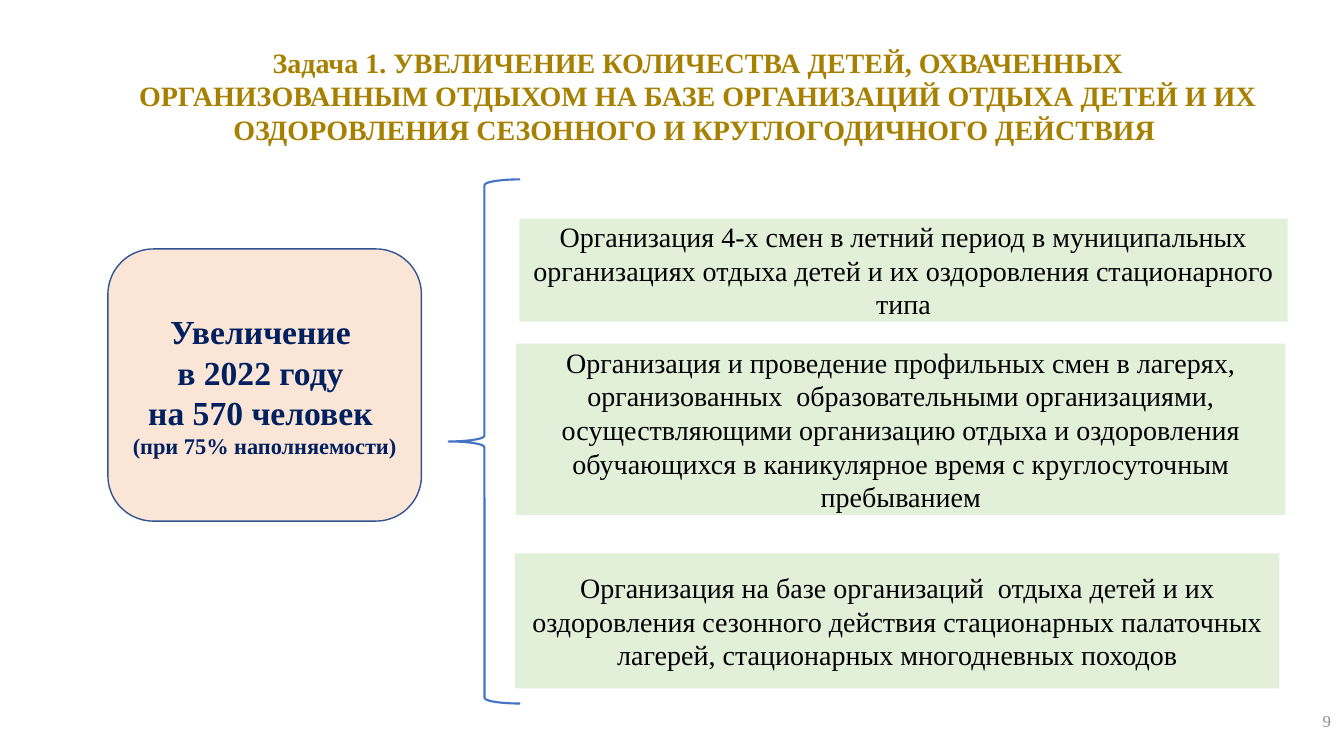
from pptx import Presentation
from pptx.dml.color import RGBColor
from pptx.enum.shapes import MSO_SHAPE
from pptx.enum.text import MSO_ANCHOR, MSO_AUTO_SIZE, PP_ALIGN
from pptx.util import Pt

PX = 9144  # EMU in one px, 100 px to the inch
FONT = "Times New Roman"
RECT, ROUND, BRACE = MSO_SHAPE.RECTANGLE, MSO_SHAPE.ROUNDED_RECTANGLE, MSO_SHAPE.LEFT_BRACE
TOP, MIDDLE = MSO_ANCHOR.TOP, MSO_ANCHOR.MIDDLE
CENTER, RIGHT = PP_ALIGN.CENTER, PP_ALIGN.RIGHT

TITLE = ("Задача 1. УВЕЛИЧЕНИЕ КОЛИЧЕСТВА ДЕТЕЙ, ОХВАЧЕННЫХ ОРГАНИЗОВАННЫМ ОТДЫХОМ "
         "НА БАЗЕ ОРГАНИЗАЦИЙ ОТДЫХА ДЕТЕЙ И ИХ ОЗДОРОВЛЕНИЯ СЕЗОННОГО И "
         "КРУГЛОГОДИЧНОГО ДЕЙСТВИЯ ")
GOAL = [("Увеличение ", 24), ("в 2022 году ", 24), ("на 570 человек ", 24),
        ("(при 75% наполняемости) ", 16)]
STEPS = [
    ((515, 217, 762, 102),
     "Организация 4-х смен в летний период в муниципальных организациях отдыха детей "
     "и их оздоровления стационарного типа"),
    ((512, 341, 763, 170),
     "Организация и проведение профильных смен в лагерях, организованных  "
     "образовательными организациями, осуществляющими организацию отдыха и оздоровления "
     "обучающихся в каникулярное время с круглосуточным пребыванием"),
    ((511, 549, 758, 134),
     "Организация на базе организаций  отдыха детей и их оздоровления сезонного действия "
     "стационарных палаточных лагерей, стационарных многодневных походов"),
]


def color(code):
    return RGBColor.from_string(code)


def scale(box):
    return [n * PX for n in box]


def write(shape, lines, ink, bold=False, align=CENTER, anchor=MIDDLE, pad=(10, 5)):
    """Fill a shape with (text, size) lines."""
    frame = shape.text_frame
    frame.word_wrap = True
    frame.auto_size = MSO_AUTO_SIZE.NONE
    frame.vertical_anchor = anchor
    frame.margin_left = frame.margin_right = pad[0] * PX
    frame.margin_top = frame.margin_bottom = pad[1] * PX
    for i, (text, size) in enumerate(lines):
        para = frame.add_paragraph() if i else frame.paragraphs[0]
        para.text = text
        para.alignment = align
        font = para.font
        font.name, font.size, font.bold = FONT, Pt(size), bold
        font.color.rgb = color(ink)


def draw(slide, kind, box, fill=None, line=None, width=1):
    shape = slide.shapes.add_shape(kind, *scale(box))
    shape.shadow.inherit = False
    if fill:
        shape.fill.solid()
        shape.fill.fore_color.rgb = color(fill)
    else:
        shape.fill.background()
    if line:
        shape.line.color.rgb = color(line)
        shape.line.width = Pt(width)
    else:
        shape.line.fill.background()
    return shape


def head(slide, box):
    title = slide.shapes.title
    title.left, title.top, title.width, title.height = scale(box)
    write(title, [(TITLE, 20)], "A88000", bold=True, anchor=TOP, pad=(7, 4))


def goal(slide, box):
    card = draw(slide, ROUND, box, "FBE5D6", "325491")
    write(card, GOAL, "002060", bold=True)


def brace(slide, box):
    shape = draw(slide, BRACE, box, line="4472C4", width=1.5)
    shape.adjustments[0] = 0.08
    shape.adjustments[1] = 0.5


def steps(slide):
    for box, text in STEPS:
        card = draw(slide, RECT, box, "E2F0D9")
        write(card, [(text, 20)], "000000", pad=(8, 4))


def number(slide, box):
    label = slide.shapes.add_textbox(*scale(box))
    write(label, [("9", 12)], "8C8C8C", align=RIGHT)


def main():
    deck = Presentation()
    deck.slide_width, deck.slide_height = scale((1333, 750))
    slide = deck.slides.add_slide(deck.slide_layouts[5])
    head(slide, (128, 41, 1128, 79))
    steps(slide)
    goal(slide, (107, 247, 311, 270))
    brace(slide, (445, 178, 71, 520))
    number(slide, (1030, 695, 300, 40))
    deck.save("out.pptx")


if __name__ == "__main__":
    main()
